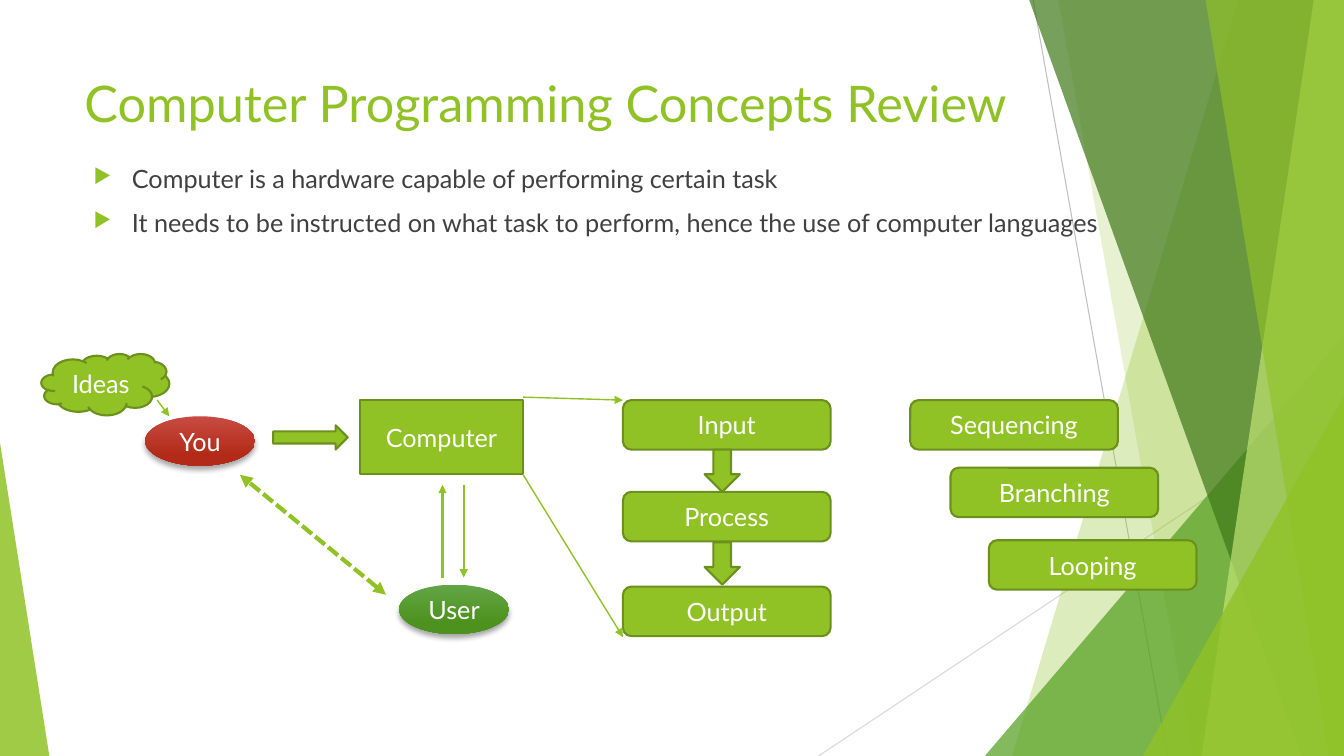
import dataclasses

import lxml.etree
import pptx
import pptx.dml.color
import pptx.enum.dml
import pptx.enum.shapes
import pptx.enum.text
import pptx.oxml
import pptx.oxml.ns
import pptx.util

SHAPE = pptx.enum.shapes.MSO_SHAPE
ALIGN = pptx.enum.text.PP_ALIGN
ANCHOR = pptx.enum.text.MSO_ANCHOR
WIDTH, HEIGHT = pptx.util.Inches(13.33), pptx.util.Inches(7.5)
COLS, ROWS = 40, 30


@dataclasses.dataclass(frozen=True)
class Theme:
    """Colours, font and type sizes of the slide."""
    font: str = "Lato"
    title: int = 36
    body: int = 18
    lime: str = "90C226"
    olive: str = "6B901C"
    green: str = "54A021"
    forest: str = "3F7819"
    pale: str = "C0E474"
    ink: str = "404040"
    white: str = "FFFFFF"
    gray: str = "BFBFBF"
    silver: str = "D9D9D9"
    reds: tuple = ("C74B42", "B32B18")
    greens: tuple = ("63A545", "4D921E")


THEME = Theme()


def col(n):
    """Return the horizontal length of n grid columns."""
    return round(WIDTH * n / COLS)


def row(n):
    """Return the vertical length of n grid rows."""
    return round(HEIGHT * n / ROWS)


def rgb(color):
    """Return a colour object for a hex string."""
    return pptx.dml.color.RGBColor.from_string(color)


def add_xml(parent, tag, **attrs):
    """Append a drawing element with attributes and return it."""
    el = lxml.etree.SubElement(parent, pptx.oxml.ns.qn(tag))
    for name, value in attrs.items():
        el.set(name, str(value))
    return el


def write(tf, text, size=THEME.body, color=THEME.white, align=ALIGN.CENTER,
          anchor=ANCHOR.MIDDLE, bullet=False):
    """Write each line of text as a formatted paragraph."""
    tf.word_wrap = True
    tf.vertical_anchor = anchor
    for i, line in enumerate(text.split("\n")):
        p = tf.add_paragraph() if i else tf.paragraphs[0]
        p.alignment = align
        r = p.add_run()
        r.text = line
        r.font.name, r.font.size = THEME.font, pptx.util.Pt(size)
        r.font.color.rgb = rgb(color)
        if bullet:
            add_bullet(p)


def add_bullet(p):
    """Give a paragraph a hanging triangle bullet."""
    p.space_before = pptx.util.Pt(10)
    pPr = p._p.get_or_add_pPr()
    indent = pptx.util.Inches(0.38)
    pPr.set("marL", str(indent))
    pPr.set("indent", str(-indent))
    add_xml(add_xml(pPr, "a:buClr"), "a:srgbClr", val=THEME.lime)
    add_xml(pPr, "a:buSzPct", val=80000)
    add_xml(pPr, "a:buChar", char="▶")


def add_text(s, x, y, w, h, text, **fmt):
    """Add a top-left aligned text box."""
    tf = s.shapes.add_textbox(col(x), row(y), col(w), row(h)).text_frame
    write(tf, text, align=ALIGN.LEFT, anchor=ANCHOR.TOP, **fmt)


def add_block(s, kind, x, y, w, h, text=""):
    """Add a lime shape with an olive outline and optional label."""
    sp = s.shapes.add_shape(kind, col(x), row(y), col(w), row(h))
    sp.shadow.inherit = False
    sp.fill.solid()
    sp.fill.fore_color.rgb = rgb(THEME.lime)
    sp.line.color.rgb = rgb(THEME.olive)
    sp.line.width = pptx.util.Pt(1.5)
    if text:
        write(sp.text_frame, text)
    return sp


def add_person(s, x, y, text, colors):
    """Add a shaded ellipse with a soft shadow."""
    sp = add_block(s, SHAPE.OVAL, x, y, 3.27, 1.96, text)
    sp.line.fill.background()
    sp.fill.gradient()
    sp.fill.gradient_angle = 270
    for stop, color, position in zip(sp.fill.gradient_stops, colors, (0, 0.78)):
        stop.color.rgb = rgb(color)
        stop.position = position
    effects = sp._element.spPr.find(pptx.oxml.ns.qn("a:effectLst"))
    shadow = add_xml(effects, "a:outerShdw", blurRad=pptx.util.Pt(4),
                     dist=pptx.util.Pt(3), dir=5400000, rotWithShape=0)
    add_xml(add_xml(shadow, "a:srgbClr", val="000000"), "a:alpha", val=35000)


def add_line(s, x1, y1, x2, y2, color=THEME.lime, width=1.0,
             head=False, tail=True, dashed=False):
    """Add a straight line with optional arrowheads and dashes."""
    c = s.shapes.add_connector(pptx.enum.shapes.MSO_CONNECTOR.STRAIGHT,
                               col(x1), row(y1), col(x2), row(y2))
    c.line.color.rgb = rgb(color)
    c.line.width = pptx.util.Pt(width)
    if dashed:
        c.line.dash_style = pptx.enum.dml.MSO_LINE.SQUARE_DOT
    ln = c.line._get_or_add_ln()
    for shown, tag in ((head, "a:headEnd"), (tail, "a:tailEnd")):
        if shown:
            add_xml(ln, tag, type="triangle")
    add_xml(c._element.spPr, "a:effectLst")


def tint(sp, color, alpha):
    """Fill a shape with a translucent colour and no outline."""
    sp.shadow.inherit = False
    sp.line.fill.background()
    sp.fill.solid()
    sp.fill.fore_color.rgb = rgb(color)
    clr = next(sp._element.spPr.iter(pptx.oxml.ns.qn("a:srgbClr")))
    add_xml(clr, "a:alpha", val=alpha * 1000)


def add_panel(s, top, bottom, color, alpha):
    """Add a full-height panel with a slanted left edge."""
    fb = s.shapes.build_freeform(col(top), 0)
    fb.add_line_segments([(col(COLS), 0), (col(COLS), row(ROWS)),
                          (col(bottom), row(ROWS))])
    tint(fb.convert_to_shape(), color, alpha)


def add_corner(s, x, y, w, apex, color, alpha):
    """Add a right triangle standing on the bottom edge."""
    sp = s.shapes.add_shape(SHAPE.ISOSCELES_TRIANGLE, col(x), row(y),
                            col(w), row(ROWS - y))
    sp.adjustments[0] = apex
    tint(sp, color, alpha)


def add_backdrop(s):
    """Draw the decorative panels, corners and thin lines."""
    add_line(s, 30.75, 0, 34.75, ROWS, THEME.gray, 0.75, tail=False)
    add_line(s, COLS, 16.12, 24.36, ROWS, THEME.silver, 0.75, tail=False)
    add_panel(s, 36.85, 30.12, THEME.lime, 30)
    add_panel(s, 31.5, 35.5, THEME.lime, 20)
    add_corner(s, 29.31, 13.32, 10.69, 1, THEME.green, 72)
    add_panel(s, 30.63, 38.73, THEME.forest, 70)
    add_panel(s, 39.1, 35.76, THEME.pale, 70)
    add_panel(s, 35.88, 39.55, THEME.lime, 65)
    add_corner(s, 34.02, 15.72, 5.98, 1, THEME.lime, 80)
    add_corner(s, 0, 17.56, 1.47, 0, THEME.lime, 85)


def add_diagram(s):
    """Draw the programming diagram."""
    for x, y, text in ((18.54, 15.88, "Input"), (18.54, 19.52, "Process"),
                       (18.54, 23.28, "Output"), (27.09, 15.88, "Sequencing"),
                       (28.29, 18.56, "Branching"), (29.43, 21.44, "Looping")):
        add_block(s, SHAPE.ROUNDED_RECTANGLE, x, y, 6.18, 1.96, text)
    for y in (17.84, 21.52):
        add_block(s, SHAPE.DOWN_ARROW, 20.97, y, 1.05, 1.68)
    add_block(s, SHAPE.RECTANGLE, 10.71, 15.88, 4.86, 2.92, "Computer")
    add_person(s, 4.32, 16.52, "You", THEME.reds)
    add_person(s, 11.88, 23.2, "User", THEME.greens)
    add_line(s, 13.17, 22.92, 13.17, 19.24, width=1.5)
    add_line(s, 13.8, 19.24, 13.8, 22.92, width=1.5)
    add_block(s, SHAPE.RIGHT_ARROW, 8.13, 16.88, 2.22, 0.96)
    add_line(s, 11.49, 23.6, 7.14, 18.84, width=3, head=True, dashed=True)
    add_block(s, SHAPE.CLOUD, 1.23, 14.04, 3.81, 2.44, "Ideas")
    add_line(s, 4.68, 15.88, 5.04, 16.52)
    add_line(s, 15.57, 15.76, 18.54, 15.88)
    add_line(s, 15.57, 18.84, 18.54, 25.28)


def main():
    """Build and save the slide."""
    prs = pptx.Presentation()
    prs.slide_width, prs.slide_height = WIDTH, HEIGHT
    s = prs.slides.add_slide(prs.slide_layouts[6])
    add_backdrop(s)
    add_text(s, 2.22, 2.68, 28.2, 5.76, "Computer Programming Concepts Review",
             size=THEME.title, color=THEME.lime)
    add_text(s, 2.49, 6.28, 31.5, 16.96,
             "Computer is a hardware capable of performing certain task\n"
             "It needs to be instructed on what task to perform, "
             "hence the use of computer languages", color=THEME.ink, bullet=True)
    add_diagram(s)
    prs.save("out.pptx")


if __name__ == "__main__":
    main()
